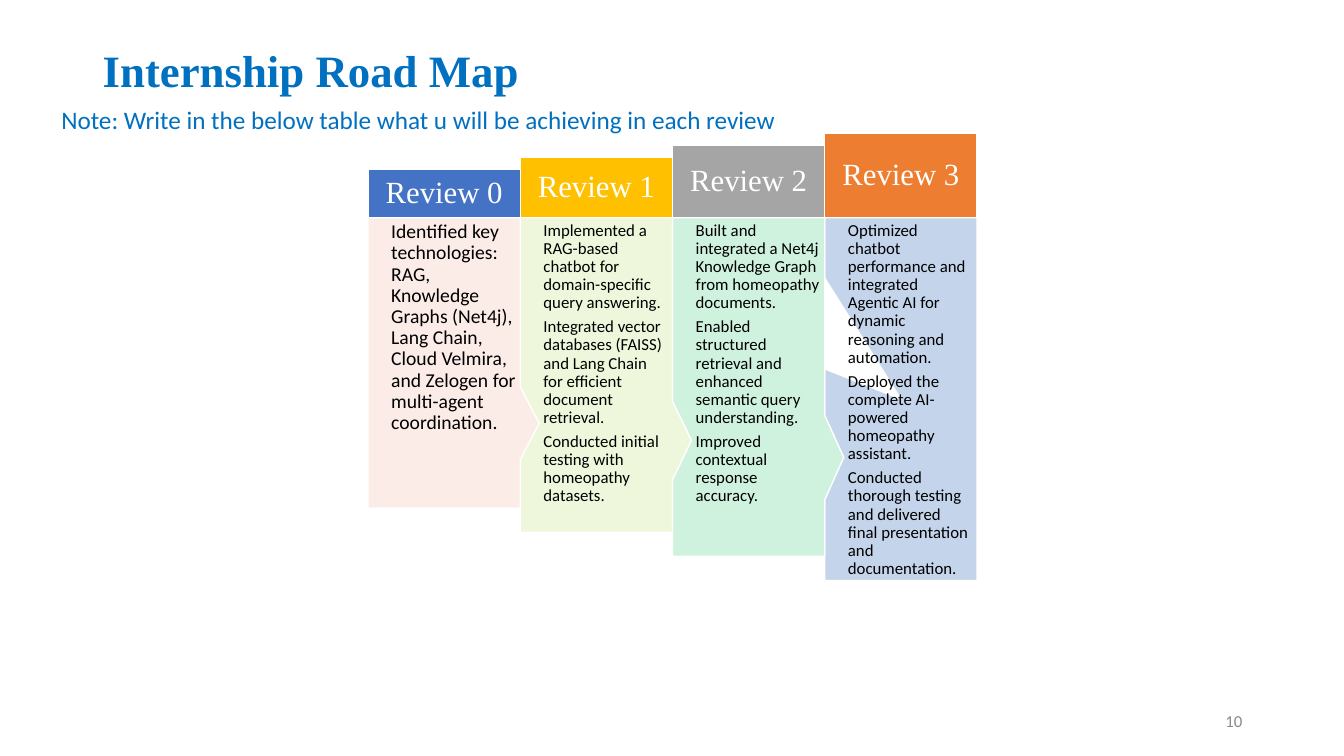
from dataclasses import dataclass

from pptx import Presentation
from pptx.dml.color import RGBColor
from pptx.enum.shapes import MSO_SHAPE
from pptx.enum.text import MSO_ANCHOR, PP_ALIGN
from pptx.util import Inches, Pt


@dataclass(frozen=True)
class Theme:
    accent: str = "0070C0"
    white: str = "FFFFFF"
    black: str = "000000"
    gray: str = "898989"
    serif: str = "Times New Roman"
    sans: str = "Calibri"
    title_size: int = 32
    header_size: int = 22
    note_size: int = 18
    large_body_size: int = 14
    body_size: int = 12
    number_size: int = 12
    headers: tuple = ("4472C4", "FFC000", "A5A5A5", "ED7D31")
    bodies: tuple = ("FCECE8", "EEF7DB", "CFF2DF", "C4D5EB")


theme = Theme()


def write_text(shape, paragraphs, size, color, font=theme.sans, bold=False,
               align=PP_ALIGN.LEFT, anchor=MSO_ANCHOR.TOP, wrap=True,
               line_spacing=None, space_after=0, margins=(0.1, 0.05, 0.1, 0.05)):
    frame = shape.text_frame
    frame.word_wrap = wrap
    frame.vertical_anchor = anchor
    frame.margin_left, frame.margin_top, frame.margin_right, frame.margin_bottom = map(Inches, margins)
    for index, text in enumerate(paragraphs):
        paragraph = frame.add_paragraph() if index else frame.paragraphs[0]
        paragraph.alignment = align
        paragraph.line_spacing = line_spacing
        paragraph.space_after = Pt(space_after)
        run = paragraph.add_run()
        run.text = text
        run.font.name = font
        run.font.size = Pt(size)
        run.font.bold = bold
        run.font.color.rgb = RGBColor.from_string(color)


def add_panel(slide, kind, left, top, width, height, fill):
    shape = slide.shapes.add_shape(kind, Inches(left), Inches(top), Inches(width), Inches(height))
    shape.shadow.inherit = False
    shape.fill.solid()
    shape.fill.fore_color.rgb = RGBColor.from_string(fill)
    shape.line.color.rgb = RGBColor.from_string(theme.white)
    shape.line.width = Pt(1)
    return shape


reviews = [
    ("Review 0", theme.large_body_size, (0.625, 0.208), [
        "Identified key technologies: RAG, Knowledge Graphs (Net4j), Lang Chain, Cloud Velmira, "
        "and Zelogen for multi-agent coordination.",
    ]),
    ("Review 1", theme.body_size, (0.625, 0.208), [
        "Implemented a RAG-based chatbot for domain-specific query answering.",
        "Integrated vector databases (FAISS) and Lang Chain for efficient document retrieval.",
        "Conducted initial testing with homeopathy datasets.",
    ]),
    ("Review 2", theme.body_size, (0.625, 0.208), [
        "Built and integrated a Net4j Knowledge Graph from homeopathy documents.",
        "Enabled structured retrieval and enhanced semantic query understanding.",
        "Improved contextual response accuracy.",
    ]),
    ("Review 3", theme.body_size, (0, 0), [
        "Optimized chatbot performance and integrated Agentic AI for dynamic reasoning and automation.",
        "Deployed the complete AI-powered homeopathy assistant.",
        "Conducted thorough testing and delivered final presentation and documentation.",
    ]),
]

presentation = Presentation()
presentation.slide_width = Inches(13.33)
presentation.slide_height = Inches(7.5)
slide = presentation.slides.add_slide(presentation.slide_layouts[6])

title = slide.shapes.add_textbox(Inches(0.92), Inches(0.4), Inches(11.5), Inches(0.65))
write_text(title, ["Internship Road Map"], theme.title_size, theme.accent, font=theme.serif,
           bold=True, anchor=MSO_ANCHOR.MIDDLE, line_spacing=0.9)

slide_number = slide.shapes.add_textbox(Inches(9.42), Inches(6.95), Inches(3), Inches(0.4))
write_text(slide_number, ["10"], theme.number_size, theme.gray,
           align=PP_ALIGN.RIGHT, anchor=MSO_ANCHOR.MIDDLE)

first_left, column_width, body_top = 3.65, 1.51, 2.16

for step, (name, size, pointer, goals) in reversed(list(enumerate(reviews))):
    left = first_left + step * column_width
    header_height = 0.48 + 0.12 * step
    body_height = 2.88 + 0.24 * step

    body = add_panel(slide, MSO_SHAPE.RECTANGULAR_CALLOUT, left, body_top,
                     column_width, body_height, theme.bodies[step])
    body.adjustments[0], body.adjustments[1] = pointer
    write_text(body, goals, size, theme.black, line_spacing=0.9,
               space_after=0.35 * size, margins=(0.23, 0.04, 0.04, 0.04))

    header = add_panel(slide, MSO_SHAPE.RECTANGLE, left, body_top - header_height,
                       column_width, header_height, theme.headers[step])
    write_text(header, [name], theme.header_size, theme.white, font=theme.serif,
               align=PP_ALIGN.CENTER, anchor=MSO_ANCHOR.MIDDLE, line_spacing=0.9,
               margins=(0.08, 0.08, 0.08, 0.08))

note = slide.shapes.add_textbox(Inches(0.51), Inches(0.99), Inches(7.6), Inches(0.4))
write_text(note, ["Note: Write in the below table what u will be achieving in each review"],
           theme.note_size, theme.accent, wrap=False)

presentation.save("out.pptx")
